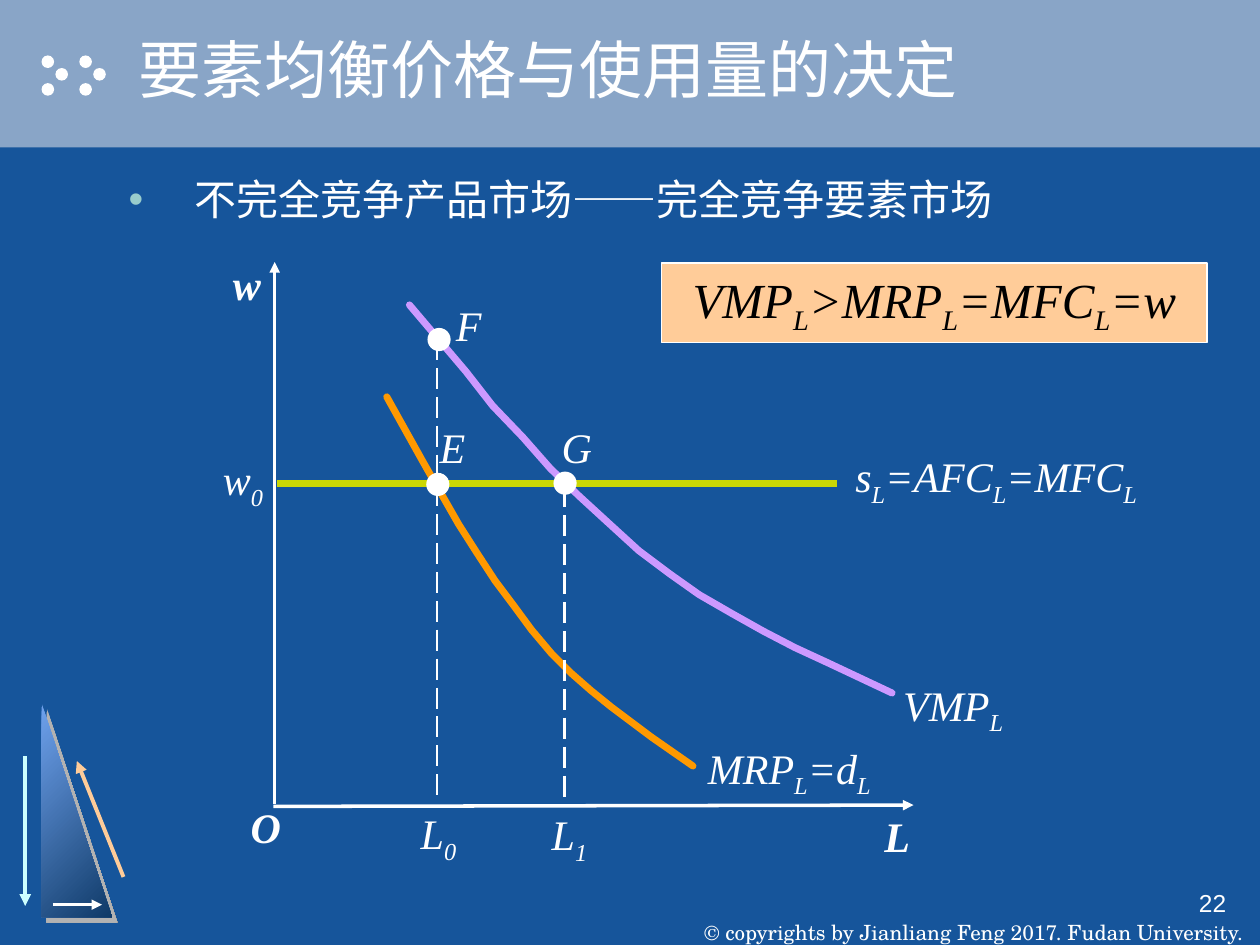
from typing import NamedTuple, Optional

from lxml.etree import SubElement
from pptx import Presentation
from pptx.dml.color import RGBColor
from pptx.enum.dml import MSO_LINE
from pptx.enum.shapes import MSO_CONNECTOR, MSO_SHAPE
from pptx.enum.text import MSO_ANCHOR, MSO_AUTO_SIZE, PP_ALIGN
from pptx.oxml import parse_xml
from pptx.oxml.ns import nsdecls, qn
from pptx.util import Inches, Pt

NAVY = RGBColor(0x16, 0x55, 0x9B)
BAND = RGBColor(0x89, 0xA5, 0xC7)
WHITE = RGBColor(0xFF, 0xFF, 0xFF)
BLACK = RGBColor(0, 0, 0)
PEACH = RGBColor(0xFF, 0xCC, 0x99)
AQUA = RGBColor(0xCC, 0xFF, 0xFF)
LIME = RGBColor(0xCA, 0xD7, 0x04)
VIOLET = RGBColor(0xCC, 0x99, 0xFF)
ORANGE = RGBColor(0xFF, 0x99, 0x00)
SKY = RGBColor(0x6F, 0xA2, 0xED)
DEEP = RGBColor(0x0F, 0x3A, 0x68)
SERIF = "Times New Roman"


class Label(NamedTuple):
    notation: str  # "_" puts the next character in subscript
    left: float
    top: float
    width: float
    bold: bool = False


class Segment(NamedTuple):
    start: tuple[float, float]
    end: tuple[float, float]
    color: RGBColor = WHITE
    weight: float = 1.5
    arrow: bool = False
    dashed: bool = False


class Curve(NamedTuple):
    color: RGBColor
    points: list[tuple[float, float]]


def add_run(paragraph, text: str, size: float, font: str, color: RGBColor = WHITE):
    run = paragraph.add_run()
    run.text = text
    run.font.size = Pt(size)
    run.font.name = font
    run.font.color.rgb = color
    return run


def add_notation(paragraph, notation: str, size: float, color: RGBColor = WHITE, bold: bool = False) -> None:
    base, *rest = notation.split("_")
    pieces = [(base, False)]
    for part in rest:
        pieces += [(part[0], True), (part[1:], False)]
    for text, lowered in pieces:
        if text:
            run = add_run(paragraph, text, size, SERIF, color)
            run.font.italic = True
            run.font.bold = bold
            if lowered:
                run.font._element.set("baseline", "-25000")


def add_box(shapes, left: float, top: float, width: float, height: float, wrap: bool = False):
    frame = shapes.add_textbox(Inches(left), Inches(top), Inches(width), Inches(height)).text_frame
    frame.word_wrap = wrap
    return frame


def add_label(shapes, label: Label) -> None:
    height = 0.55 if "_" in label.notation else 0.5
    frame = add_box(shapes, label.left, label.top, label.width, height)
    frame.auto_size = MSO_AUTO_SIZE.SHAPE_TO_FIT_TEXT
    add_notation(frame.paragraphs[0], label.notation, 24, bold=label.bold)


def add_solid(shapes, kind: MSO_SHAPE, left: float, top: float, width: float, height: float,
              fill: RGBColor, outline: Optional[RGBColor] = None):
    shape = shapes.add_shape(kind, Inches(left), Inches(top), Inches(width), Inches(height))
    shape.shadow.inherit = False
    shape.fill.solid()
    shape.fill.fore_color.rgb = fill
    if outline is None:
        shape.line.fill.background()
    else:
        shape.line.color.rgb = outline
        shape.line.width = Pt(1)
    return shape


def add_segment(shapes, segment: Segment) -> None:
    ends = [Inches(value) for value in (*segment.start, *segment.end)]
    connector = shapes.add_connector(MSO_CONNECTOR.STRAIGHT, *ends)
    connector.line.color.rgb = segment.color
    connector.line.width = Pt(segment.weight)
    if segment.dashed:
        connector.line.dash_style = MSO_LINE.LONG_DASH
    if segment.arrow:
        SubElement(connector.line._get_or_add_ln(), qn("a:tailEnd"), type="triangle")
    SubElement(connector.element.spPr, qn("a:effectLst"))


def add_curve(shapes, curve: Curve) -> None:
    points = [(Inches(x), Inches(y)) for x, y in curve.points]
    builder = shapes.build_freeform(*points[0])
    builder.add_line_segments(points[1:], close=False)
    shape = builder.convert_to_shape()
    shape.shadow.inherit = False
    shape.fill.background()
    shape.line.color.rgb = curve.color
    shape.line.width = Pt(4)
    outline = shape.line._get_or_add_ln()
    outline.set("cap", "rnd")
    SubElement(outline, qn("a:round"))


def shadow_xml(color: RGBColor, points: float):
    return parse_xml(f'<a:effectLst {nsdecls("a")}><a:outerShdw dist="{Pt(points)}" dir="2700000" '
                     f'algn="tl" rotWithShape="0"><a:srgbClr val="{color}"/></a:outerShdw></a:effectLst>')


def place(holder, left: float, top: float, width: float, height: float, anchor: MSO_ANCHOR):
    holder.left, holder.top = Inches(left), Inches(top)
    holder.width, holder.height = Inches(width), Inches(height)
    holder.text_frame.vertical_anchor = anchor
    holder.text_frame.auto_size = MSO_AUTO_SIZE.NONE
    return holder.text_frame.paragraphs[0]


def add_header(slide) -> None:
    shapes = slide.shapes
    title, body = shapes.title, slide.placeholders[1]
    band = add_solid(shapes, MSO_SHAPE.RECTANGLE, 0, 0, 10, 1.17, BAND)
    title.element.addprevious(band.element)
    for cluster_left in (0.33, 0.63):
        for dx, top in ((0, 0.44), (0.11, 0.54), (0, 0.66)):
            add_solid(shapes, MSO_SHAPE.OVAL, cluster_left + dx, top, 0.1, 0.1, WHITE)

    heading = place(title, 1, 0, 9, 1.08, MSO_ANCHOR.MIDDLE)
    heading.alignment = PP_ALIGN.LEFT
    run = add_run(heading, "要素均衡价格与使用量的决定", 36, "Arial")
    run.font._element.find(qn("a:solidFill")).addnext(shadow_xml(BLACK, 1.5))

    topic = place(body, 0.92, 1.33, 8.17, 5, MSO_ANCHOR.TOP)
    properties = topic._p.get_or_add_pPr()
    properties.set("marL", str(Inches(0.52)))
    properties.set("indent", str(Inches(-0.52)))
    bullet_color = SubElement(properties, qn("a:buClr"))
    SubElement(bullet_color, qn("a:srgbClr"), val="99CCCC")
    SubElement(properties, qn("a:buChar"), char="•")
    topic.space_before = Pt(0)
    add_run(topic, "不完全竞争产品市场——完全竞争要素市场", 24, SERIF)


def add_corner(shapes) -> None:
    triangle = add_solid(shapes, MSO_SHAPE.RIGHT_TRIANGLE, 0.33, 5.58, 0.56, 1.7, SKY)
    triangle.fill.gradient()
    triangle.fill.gradient_angle = 315
    for stop, color, position in zip(triangle.fill.gradient_stops, (SKY, DEEP), (0, 1)):
        stop.color.rgb = color
        stop.position = position
    effects = triangle.element.spPr.find(qn("a:effectLst"))
    effects.getparent().replace(effects, shadow_xml(RGBColor(0xB2, 0xB2, 0xB2), 4.2))
    for segment in (Segment((0.2, 6), (0.2, 7.19), AQUA, 2.25, arrow=True),
                    Segment((0.98, 6.96), (0.61, 6.04), PEACH, 2.25, arrow=True),
                    Segment((0.42, 7.18), (0.81, 7.18), arrow=True)):
        add_segment(shapes, segment)


def add_footer(shapes) -> None:
    copyright_frame = add_box(shapes, 5.44, 7, 4.58, 0.5)
    copyright_frame.vertical_anchor = MSO_ANCHOR.BOTTOM
    copyright_frame.margin_top = copyright_frame.margin_bottom = 0
    notice = copyright_frame.paragraphs[0]
    notice.alignment = PP_ALIGN.CENTER
    add_run(notice, "© copyrights by Jianliang Feng 2017. Fudan University.", 12, "TeX Gyre Schola")
    page = add_box(shapes, 7.75, 7, 2.08, 0.5, wrap=True).paragraphs[0]
    page.alignment = PP_ALIGN.RIGHT
    add_run(page, "22", 14, "Arial")


SEGMENTS = [
    Segment((2.18, 6.38), (2.18, 2.08), weight=2, arrow=True),  # wage axis
    Segment((2.17, 6.4), (7.25, 6.39), weight=2, arrow=True),  # labour axis
    Segment((2.2, 3.84), (6.64, 3.84), LIME, 4),  # factor supply
]
CURVES = [
    Curve(VIOLET, [(3.25, 2.42), (3.7, 2.95), (3.91, 3.22), (4.15, 3.47), (4.37, 3.72), (4.6, 3.94),
                   (4.84, 4.16), (5.07, 4.37), (5.31, 4.55), (5.55, 4.72), (5.81, 4.87), (6.06, 5.01),
                   (6.31, 5.14), (6.57, 5.26), (7.08, 5.5)]),
    Curve(ORANGE, [(3.07, 3.15), (3.36, 3.67), (3.64, 4.16), (3.78, 4.38), (3.93, 4.61), (4.08, 4.81),
                   (4.22, 5), (4.38, 5.19), (4.53, 5.34), (4.69, 5.48), (4.85, 5.61), (5.17, 5.85),
                   (5.5, 6.08)]),
]
DROP_LINES = [
    Segment((3.47, 3.85), (3.47, 6.36), dashed=True),
    Segment((3.47, 2.69), (3.47, 3.81), dashed=True),
    Segment((4.48, 3.86), (4.48, 6.38), dashed=True),
]
EQUILIBRIA = [(3.39, 3.76), (3.4, 2.61), (4.4, 3.75)]  # E, F, G
LABELS = [
    Label("L", 6.92, 6.38, 0.4, bold=True), Label("w", 1.75, 2, 0.42, bold=True),
    Label("O", 1.89, 6.31, 0.44, bold=True), Label("w_0", 1.67, 3.55, 0.52),
    Label("s_L=AFC_L=MFC_L", 6.69, 3.53, 2.45), Label("VMP_L", 7.07, 5.34, 0.99),
    Label("MRP_L=d_L", 5.52, 5.84, 1.49), Label("L_0", 3.24, 6.36, 0.48),
    Label("L_1", 4.28, 6.37, 0.48), Label("E", 3.39, 3.3, 0.4),
    Label("F", 3.52, 2.33, 0.4), Label("G", 4.36, 3.3, 0.44),
]


def add_diagram(shapes) -> None:
    for segment in SEGMENTS:
        add_segment(shapes, segment)
    for curve in CURVES:
        add_curve(shapes, curve)
    for drop_line in DROP_LINES:
        add_segment(shapes, drop_line)
    for left, top in EQUILIBRIA:
        add_solid(shapes, MSO_SHAPE.OVAL, left, top, 0.17, 0.17, WHITE, WHITE)
    for label in LABELS:
        add_label(shapes, label)
    condition = add_solid(shapes, MSO_SHAPE.RECTANGLE, 5.25, 2.09, 4.33, 0.63, PEACH, WHITE)
    equation = condition.text_frame.paragraphs[0]
    equation.alignment = PP_ALIGN.CENTER
    add_notation(equation, "VMP_L>MRP_L=MFC_L=w", 28, BLACK)


def main() -> None:
    deck = Presentation()
    deck.slide_width, deck.slide_height = Inches(10), Inches(7.5)
    slide = deck.slides.add_slide(deck.slide_layouts[1])
    slide.background.fill.solid()
    slide.background.fill.fore_color.rgb = NAVY
    add_header(slide)
    add_corner(slide.shapes)
    add_footer(slide.shapes)
    add_diagram(slide.shapes)
    deck.save("out.pptx")


if __name__ == "__main__":
    main()
